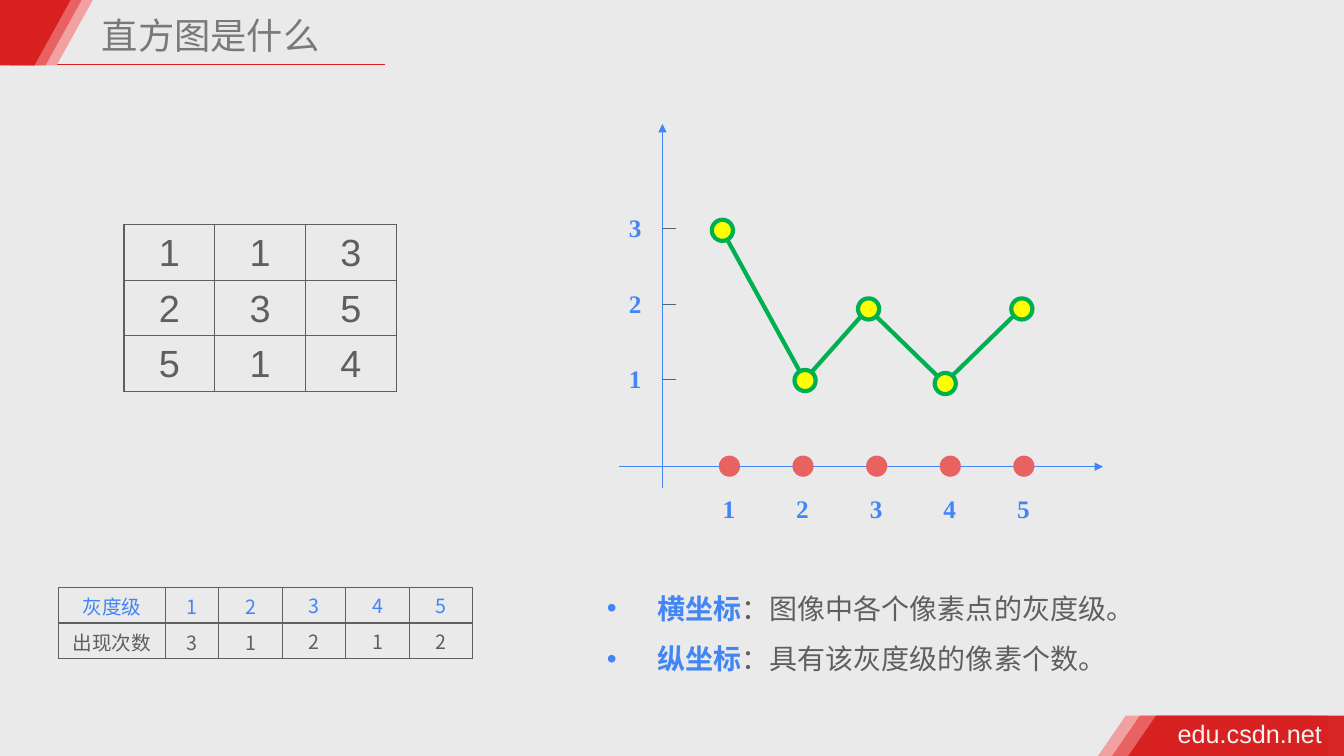
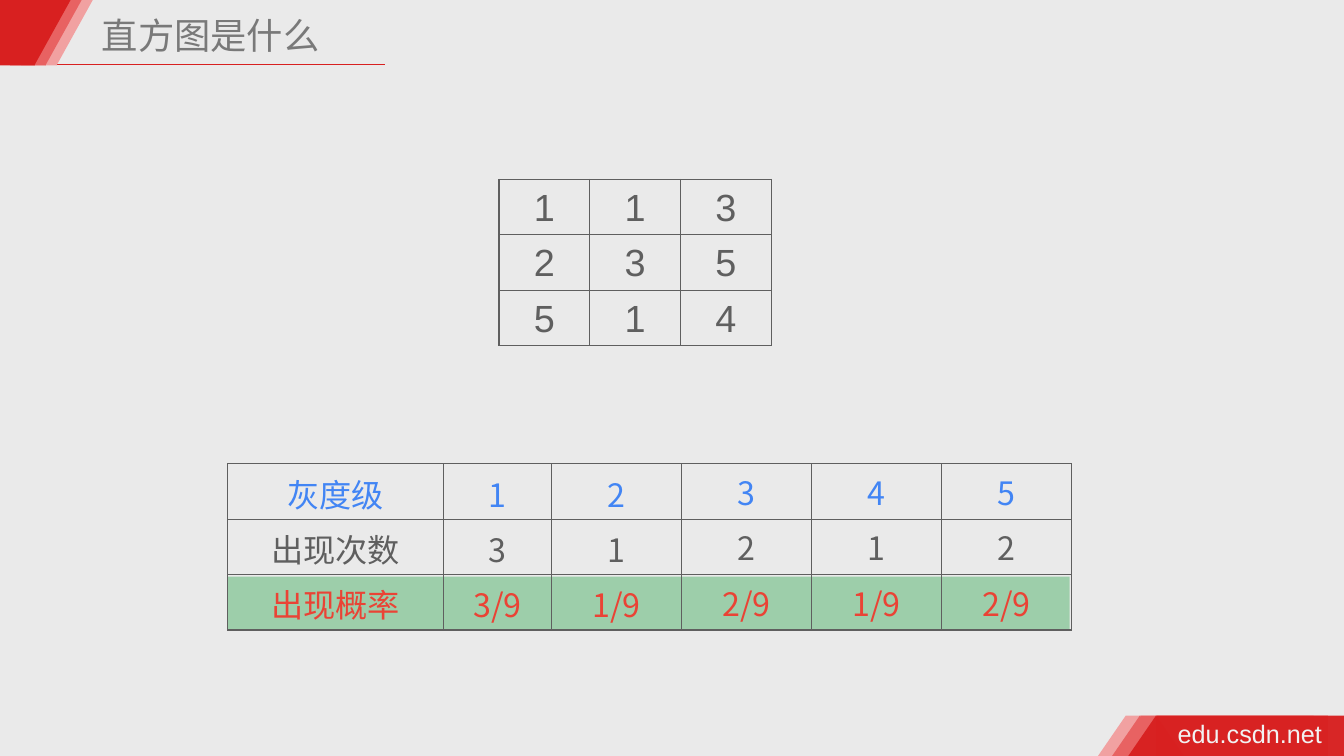
from lxml import etree
from pptx import Presentation
from pptx import util as u
from pptx.dml.color import RGBColor
from pptx.enum import shapes, text
from pptx.oxml.ns import qn

PX = 9144
COLORS = {
    "background": "EAEAEA", "red": "D82020", "coral": "E86262", "pink": "F1A1A1",
    "footer": "F2F2F2", "title": "797979", "gray": "5F5F5F", "blue": "4285F4",
    "curve": "00B050", "yellow": "FFFF00", "tick": "476781",
    "highlight": "34A853", "accent": "EA4335",
}
SANS, CJK, SERIF = "Arial", "Noto Sans CJK SC", "Times New Roman"
TITLE = "直方图是什么"
RECTANGLE = shapes.MSO_SHAPE.RECTANGLE
TRIANGLE = shapes.MSO_SHAPE.ISOSCELES_TRIANGLE
OVAL = shapes.MSO_SHAPE.OVAL
CENTER, LEFT = text.PP_ALIGN.CENTER, text.PP_ALIGN.LEFT

MATRIX = [["1", "1", "3"], ["2", "3", "5"], ["5", "1", "4"]]
COUNTS = [["灰度级", "1", "2", "3", "4", "5"], ["出现次数", "3", "1", "2", "1", "2"]]
PROBABILITIES = ["出现概率", "3/9", "1/9", "2/9", "1/9", "2/9"]


def rgb(name):
    return RGBColor.from_string(COLORS[name])


def px(*lengths):
    return [u.Emu(length * PX) for length in lengths]


class Deck:
    def __init__(self):
        self.presentation = Presentation()
        self.presentation.slide_width, self.presentation.slide_height = px(1333, 750)
        fill = self.presentation.slide_master.background.fill
        fill.solid()
        fill.fore_color.rgb = rgb("background")
        self.slide = None

    def new_slide(self, layout, title):
        self.slide = self.presentation.slides.add_slide(
            self.presentation.slide_layouts[layout])
        self.line((49, 64), (382, 64), "red", 1)
        bands = [("pink", 1117, 20, 100), ("coral", 1131, 9, 100), ("red", 1147, -2, 97)]
        for color, footer_left, corner_left, opacity in bands:
            self.shape(RECTANGLE, footer_left, 710, 186, 40, color, opacity)
            self.shape(TRIANGLE, footer_left - 28, 710, 55, 40, color, opacity)
            self.shape(RECTANGLE, corner_left + 1, 0, 35, 65, color)
            self.shape(TRIANGLE, corner_left, 0, 72, 65, color).rotation = 180
        self.text_box(1163, 708, 165, 40, "edu.csdn.net", SANS, "footer")
        frame = self.placeholder(self.slide.shapes.title, 96, 5, 386, 56, 5)
        frame.vertical_anchor = text.MSO_ANCHOR.MIDDLE
        frame.text = title
        paragraph = frame.paragraphs[0]
        paragraph.line_spacing = 1.1
        self.style(paragraph, 25.9, CJK, "title")

    def style(self, paragraph, size, face, color, bold=False, align=LEFT):
        paragraph.alignment = align
        font = paragraph.font
        font.size, font.bold, font.name = u.Pt(size), bold, face
        font.color.rgb = rgb(color)
        defaults = paragraph._p.pPr.find(qn("a:defRPr"))
        etree.SubElement(defaults, qn("a:ea"), typeface=face)

    def placeholder(self, shape, left, top, width, height, inset):
        shape.left, shape.top, shape.width, shape.height = px(left, top, width, height)
        frame = shape.text_frame
        frame.auto_size = text.MSO_AUTO_SIZE.NONE
        frame.margin_left, frame.margin_right = px(inset, inset)
        frame.margin_top, frame.margin_bottom = px(5, 5)
        return frame

    def shape(self, kind, left, top, width, height, color, opacity=100, outline=None):
        shape = self.slide.shapes.add_shape(kind, *px(left, top, width, height))
        shape.shadow.inherit = False
        shape.fill.solid()
        shape.fill.fore_color.rgb = rgb(color)
        if opacity < 100:
            fill_color = shape._element.spPr.find(".//" + qn("a:srgbClr"))
            etree.SubElement(fill_color, qn("a:alpha"), val=str(opacity * 1000))
        if outline:
            shape.line.color.rgb = rgb(outline)
            shape.line.width = u.Pt(3)
        else:
            shape.line.fill.background()
        return shape

    def dot(self, x, y, color, outline=None):
        self.shape(OVAL, x - 10, y - 10, 21, 21, color, outline=outline)

    def line(self, start, end, color, width=0.75, arrow=False):
        connector = self.slide.shapes.add_connector(
            shapes.MSO_CONNECTOR.STRAIGHT, *px(*start, *end))
        connector.line.color.rgb = rgb(color)
        connector.line.width = u.Pt(width)
        properties = connector._element.spPr
        if arrow:
            etree.SubElement(properties.find(qn("a:ln")), qn("a:tailEnd"), type="triangle")
        etree.SubElement(properties, qn("a:effectLst"))

    def polyline(self, points, color):
        builder = self.slide.shapes.build_freeform(*points[0], scale=PX)
        builder.add_line_segments(points[1:], close=False)
        shape = builder.convert_to_shape()
        shape.shadow.inherit = False
        shape.fill.background()
        shape.line.color.rgb = rgb(color)
        shape.line.width = u.Pt(3)

    def text_box(self, left, top, width, height, words, face, color, bold=False, align=LEFT):
        frame = self.slide.shapes.add_textbox(*px(left, top, width, height)).text_frame
        frame.word_wrap = True
        frame.margin_left, frame.margin_right = px(5, 5)
        frame.text = words
        self.style(frame.paragraphs[0], 18, face, color, bold, align)

    def axis_label(self, x, top, value):
        self.text_box(x - 17, top, 34, 40, str(value), SERIF, "blue", True, CENTER)

    def bullets(self, left, top, width, height, items):
        frame = self.placeholder(
            self.slide.placeholders[1], left, top, width, height, 10)
        for index, (term, meaning) in enumerate(items):
            paragraph = frame.add_paragraph() if index else frame.paragraphs[0]
            paragraph.line_spacing = 1.5
            paragraph.space_before = u.Pt(0)
            properties = paragraph._p.get_or_add_pPr()
            properties.set("marL", str(50 * PX))
            properties.set("indent", str(-50 * PX))
            etree.SubElement(properties, qn("a:buChar"), char="•")
            self.style(paragraph, 20, CJK, "blue", True)
            paragraph.add_run().text = term
            run = paragraph.add_run()
            run.text = meaning
            run.font.bold = False
            run.font.color.rgb = rgb("gray")

    def table(self, left, top, widths, row_height, rows, size, face, row_colors, inset=2):
        table = self.slide.shapes.add_table(
            len(rows), len(widths),
            *px(left, top, sum(widths), row_height * len(rows))).table
        table.first_row = table.horz_banding = False
        for column, width in zip(table.columns, widths):
            column.width = px(width)[0]
        for row, values, color in zip(table.rows, rows, row_colors):
            row.height = px(row_height)[0]
            for index, (cell, value) in enumerate(zip(row.cells, values)):
                margin = px(inset if index < 3 else 0)[0]
                cell.margin_left = cell.margin_right = cell.margin_top = margin
                cell.margin_bottom = 0
                cell.vertical_anchor = text.MSO_ANCHOR.MIDDLE
                cell.text = value
                self.style(cell.text_frame.paragraphs[0], size, face, color, align=CENTER)
                cell.fill.background()
                self.borders(cell)

    def borders(self, cell):
        properties = cell._tc.get_or_add_tcPr()
        for position, side in enumerate(("lnL", "lnR", "lnT", "lnB")):
            border = etree.Element(qn("a:" + side), w=str(u.Pt(1)))
            fill = etree.SubElement(border, qn("a:solidFill"))
            etree.SubElement(fill, qn("a:srgbClr"), val=COLORS["gray"])
            properties.insert(position, border)

    def matrix(self, left, top):
        self.table(left, top, [90] * 3, 55, MATRIX, 27, SANS, ["gray"] * 3)


def add_line_chart_slide(deck):
    deck.new_slide(1, TITLE)
    deck.matrix(123, 223)
    deck.table(58, 583, [106, 53] + [63] * 4, 35, COUNTS, 14, CJK, ["blue", "gray"])
    deck.bullets(592, 565, 566, 105, [
        ("横坐标", "：图像中各个像素点的灰度级。"),
        ("纵坐标", "：具有该灰度级的像素个数。"),
    ])
    points = [(716, 228), (798, 377), (861, 306), (937, 380), (1013, 306)]
    deck.polyline(points, "curve")
    deck.line((614, 463), (1094, 463), "blue", arrow=True)
    deck.line((657, 484), (657, 123), "blue", arrow=True)
    for level in range(1, 6):
        x = 650 + 73 * level
        deck.dot(x, 462, "coral")
        deck.axis_label(x, 484, level)
    for x, y in points:
        deck.dot(x, y, "yellow", "curve")
    for count in range(1, 4):
        y = 452 - 75 * count
        deck.line((657, y), (670, y), "tick")
        deck.axis_label(630, y - 21, count)


def add_probability_slide(deck):
    deck.new_slide(5, TITLE)
    deck.shape(RECTANGLE, 226, 572, 835, 54, "highlight", 42)
    deck.matrix(495, 178)
    deck.table(226, 460, [214, 107] + [129] * 4, 55, COUNTS + [PROBABILITIES],
               23, CJK, ["blue", "gray", "accent"], inset=3)


def main():
    deck = Deck()
    add_line_chart_slide(deck)
    add_probability_slide(deck)
    deck.presentation.save("out.pptx")


if __name__ == "__main__":
    main()
